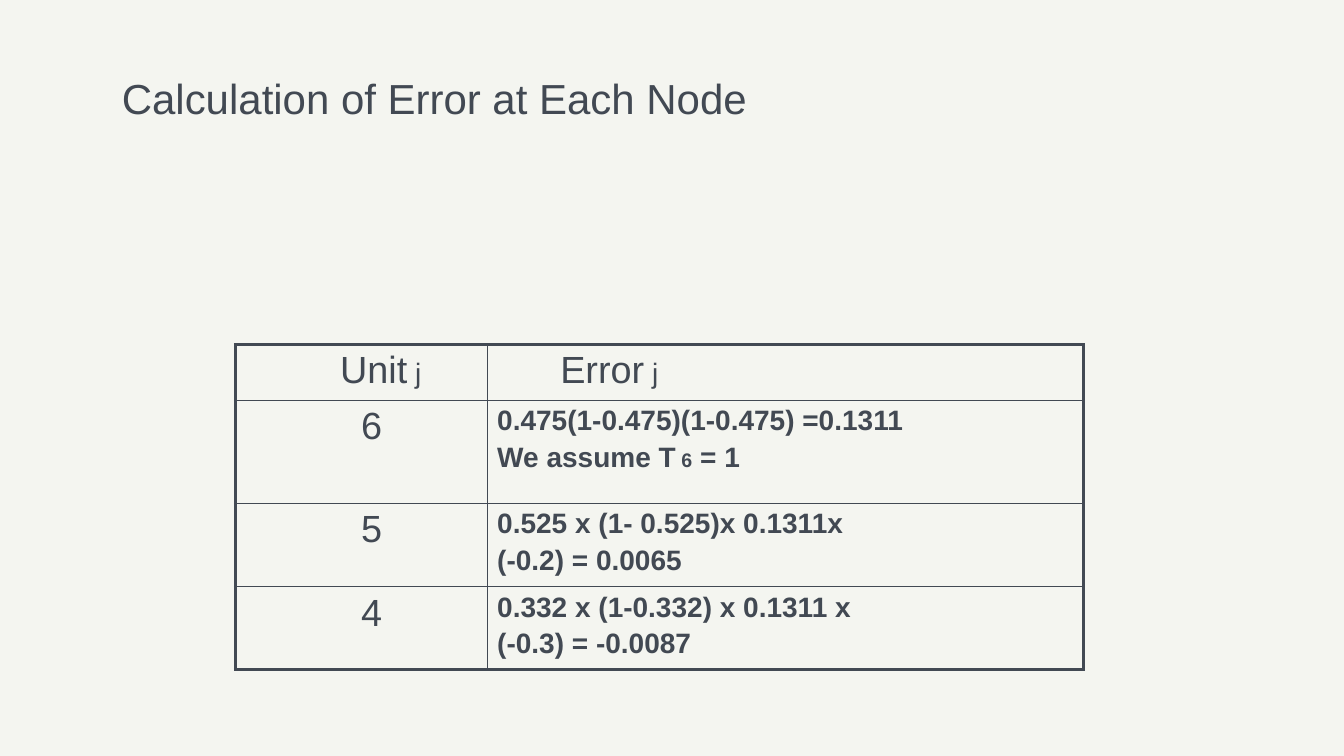
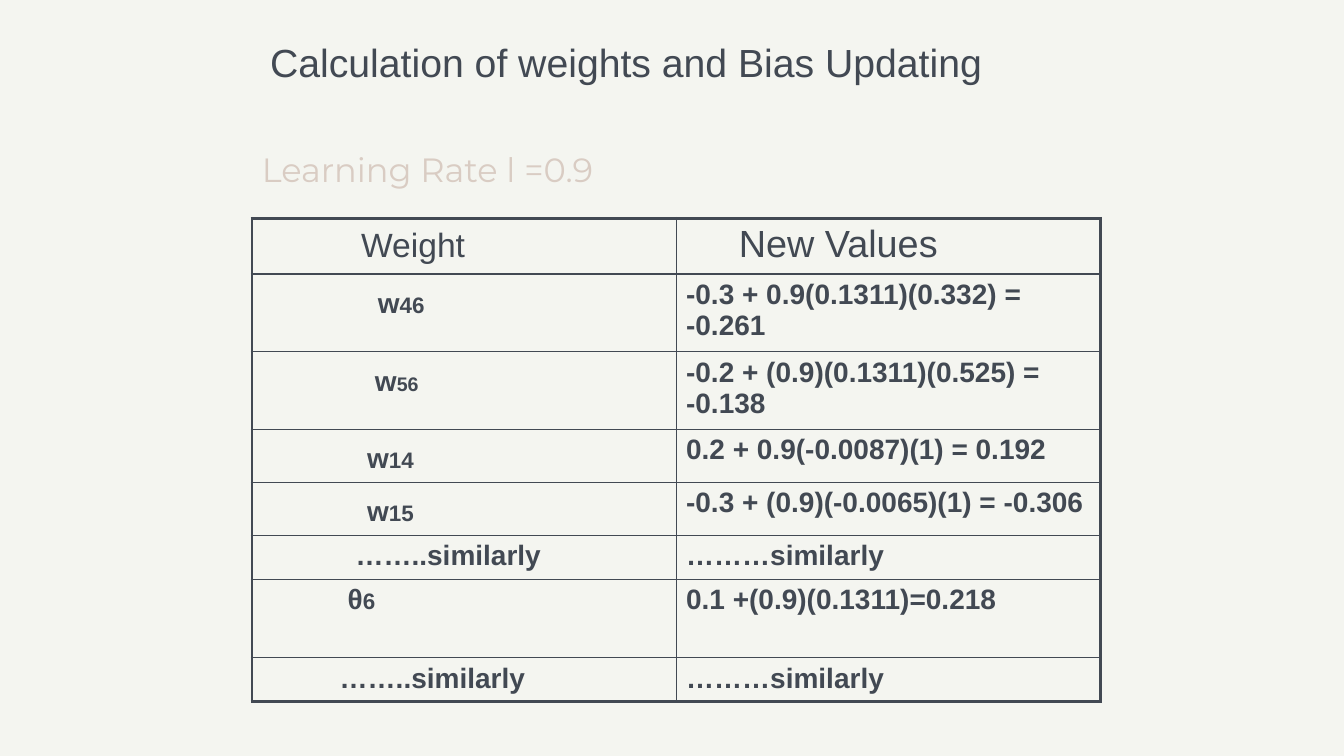
from dataclasses import dataclass

from lxml import etree
from pptx import Presentation
from pptx.dml.color import RGBColor
from pptx.enum.text import MSO_ANCHOR
from pptx.oxml.ns import qn
from pptx.slide import Slide
from pptx.table import _Cell
from pptx.text.text import TextFrame
from pptx.util import Cm, Pt

TOP = MSO_ANCHOR.TOP
BOTTOM = MSO_ANCHOR.BOTTOM
BLANK_LAYOUT = 6


@dataclass(frozen=True)
class Theme:
    paper: str = "F4F5F0"
    ink: str = "424953"
    accent: str = "D9CCC3"
    font: str = "Arial"
    accent_font: str = "Montserrat"
    subtitle: float = 24
    heading: float = 27
    body: float = 20
    subscript: float = 16
    small: float = 14
    inner_line: float = 1
    outer_line: float = 2.25
    line_gap: float = 4
    inset: float = 0.25
    cell_top: float = 0.13


THEME = Theme()


@dataclass(frozen=True)
class Box:
    left: float
    top: float
    width: float
    height: float


@dataclass(frozen=True)
class Run:
    text: str
    size: float = THEME.body


Line = tuple[Run, ...]


@dataclass(frozen=True)
class Entry:
    lines: tuple[Line, ...]
    indent: float = THEME.inset
    drop: float = 0
    bold: bool = True


@dataclass(frozen=True)
class Row:
    height: float
    label: Entry
    value: Entry


def heading(*runs: Run, indent: float, drop: float = 0) -> Entry:
    return Entry((runs,), indent, drop, bold=False)


def unit(number: str) -> Entry:
    return heading(Run(number, THEME.heading), indent=3.17)


def symbol(letter: str, index: str, indent: float, drop: float = 0.23,
           index_size: float = THEME.subscript) -> Entry:
    return Entry(((Run(letter), Run(index, index_size)),), indent, drop)


def body(*lines: str, indent: float = THEME.inset) -> Entry:
    return Entry(tuple((Run(line),) for line in lines), indent)


def write(frame: TextFrame, lines: tuple[Line, ...], *, color: str = THEME.ink,
          font: str = THEME.font, bold: bool = False) -> None:
    frame.word_wrap = True
    for number, line in enumerate(lines):
        paragraph = frame.add_paragraph() if number else frame.paragraphs[0]
        if number:
            paragraph.space_before = Pt(THEME.line_gap)
        for part in line:
            run = paragraph.add_run()
            run.text = part.text
            run.font.name = font
            run.font.size = Pt(part.size)
            run.font.bold = bold
            run.font.color.rgb = RGBColor.from_string(color)


def add_text(slide: Slide, box: Box, text: str, size: float, *,
             color: str = THEME.ink, font: str = THEME.font,
             anchor: MSO_ANCHOR = TOP, inset_y: float = THEME.inset) -> None:
    frame = slide.shapes.add_textbox(
        Cm(box.left), Cm(box.top), Cm(box.width), Cm(box.height)).text_frame
    frame.margin_left = frame.margin_right = Cm(THEME.inset)
    frame.margin_top = frame.margin_bottom = Cm(inset_y)
    frame.vertical_anchor = anchor
    write(frame, ((Run(text, size),),), color=color, font=font)


def set_borders(cell: _Cell, outer_sides: dict[str, bool]) -> None:
    properties = cell._tc.get_or_add_tcPr()
    for position, (side, is_outer) in enumerate(outer_sides.items()):
        width = THEME.outer_line if is_outer else THEME.inner_line
        border = etree.Element(qn(f"a:ln{side}"), w=str(Pt(width)))
        fill = etree.SubElement(border, qn("a:solidFill"))
        etree.SubElement(fill, qn("a:srgbClr"), val=THEME.ink)
        properties.insert(position, border)


def fill_cell(cell: _Cell, entry: Entry) -> None:
    cell.fill.background()
    cell.margin_left = Cm(entry.indent)
    cell.margin_right = Cm(THEME.inset)
    cell.margin_top = Cm(THEME.cell_top + entry.drop)
    cell.margin_bottom = Cm(THEME.cell_top)
    write(cell.text_frame, entry.lines, bold=entry.bold)


def add_grid(slide: Slide, left: float, top: float,
             widths: tuple[float, float], rows: tuple[Row, ...]) -> None:
    table = slide.shapes.add_table(
        len(rows), len(widths), Cm(left), Cm(top), Cm(sum(widths)),
        Cm(sum(row.height for row in rows))).table
    table.first_row = table.horz_banding = False
    for column, width in zip(table.columns, widths):
        column.width = Cm(width)
    for r, row in enumerate(rows):
        table.rows[r].height = Cm(row.height)
        for c, entry in enumerate((row.label, row.value)):
            cell = table.cell(r, c)
            fill_cell(cell, entry)
            set_borders(cell, {"L": c == 0, "R": c == len(widths) - 1,
                               "T": r == 0, "B": r == len(rows) - 1})


ERROR_ROWS = (
    Row(1.3, heading(Run("Unit", THEME.heading), Run(" j"), indent=2.64),
        heading(Run("Error", THEME.heading), Run(" j"), indent=1.84)),
    Row(2.6, unit("6"),
        Entry(((Run("0.475(1-0.475)(1-0.475) =0.1311"),),
               (Run("We assume T"), Run(" 6", THEME.small), Run(" = 1"))))),
    Row(1.97, unit("5"), body("0.525 x (1- 0.525)x 0.1311x", "(-0.2) = 0.0065")),
    Row(1.97, unit("4"), body("0.332 x (1-0.332) x 0.1311 x", "(-0.3) = -0.0087")),
)

WEIGHT_ROWS = (
    Row(1.31, heading(Run("Weight", THEME.subtitle), indent=2.75, drop=0.1),
        heading(Run("New Values", THEME.heading), indent=1.58)),
    Row(1.84, symbol("w", "46", 3.17), body("-0.3 + 0.9(0.1311)(0.332) = -0.261")),
    Row(1.84, symbol("w", "56", 3.1, index_size=THEME.small),
        body("-0.2 + (0.9)(0.1311)(0.525) = -0.138")),
    Row(1.31, symbol("w", "14", 2.9), body("0.2 + 0.9(-0.0087)(1) = 0.192")),
    Row(1.31, symbol("w", "15", 2.9), body("-0.3 + (0.9)(-0.0065)(1) = -0.306")),
    Row(1.05, body("……..similarly", indent=2.61), body("………similarly")),
    Row(1.97, symbol("θ", "6", 2.41, drop=0), body("0.1 +(0.9)(0.1311)=0.218")),
    Row(1.05, body("……..similarly", indent=2.21), body("………similarly")),
)


def main() -> None:
    deck = Presentation()
    deck.slide_width, deck.slide_height = Cm(33.87), Cm(19.05)
    paper = deck.slide_master.background.fill
    paper.solid()
    paper.fore_color.rgb = RGBColor.from_string(THEME.paper)
    blank = deck.slide_layouts[BLANK_LAYOUT]

    errors = deck.slides.add_slide(blank)
    add_text(errors, Box(2.82, 1.58, 28.5, 3.18),
             "Calculation of Error at Each Node", 30)
    add_grid(errors, 5.93, 8.68, (6.35, 15.03), ERROR_ROWS)

    weights = deck.slides.add_slide(blank)
    add_text(weights, Box(6.56, 0.72, 21.38, 2.33),
             "Calculation of weights and Bias Updating", 28)
    add_text(weights, Box(6.35, 2.78, 21.38, 2.11), "Learning Rate l =0.9",
             THEME.subtitle, color=THEME.accent, font=THEME.accent_font,
             anchor=BOTTOM, inset_y=THEME.cell_top)
    add_grid(weights, 6.35, 5.5, (10.69, 10.69), WEIGHT_ROWS)

    deck.save("out.pptx")


if __name__ == "__main__":
    main()
